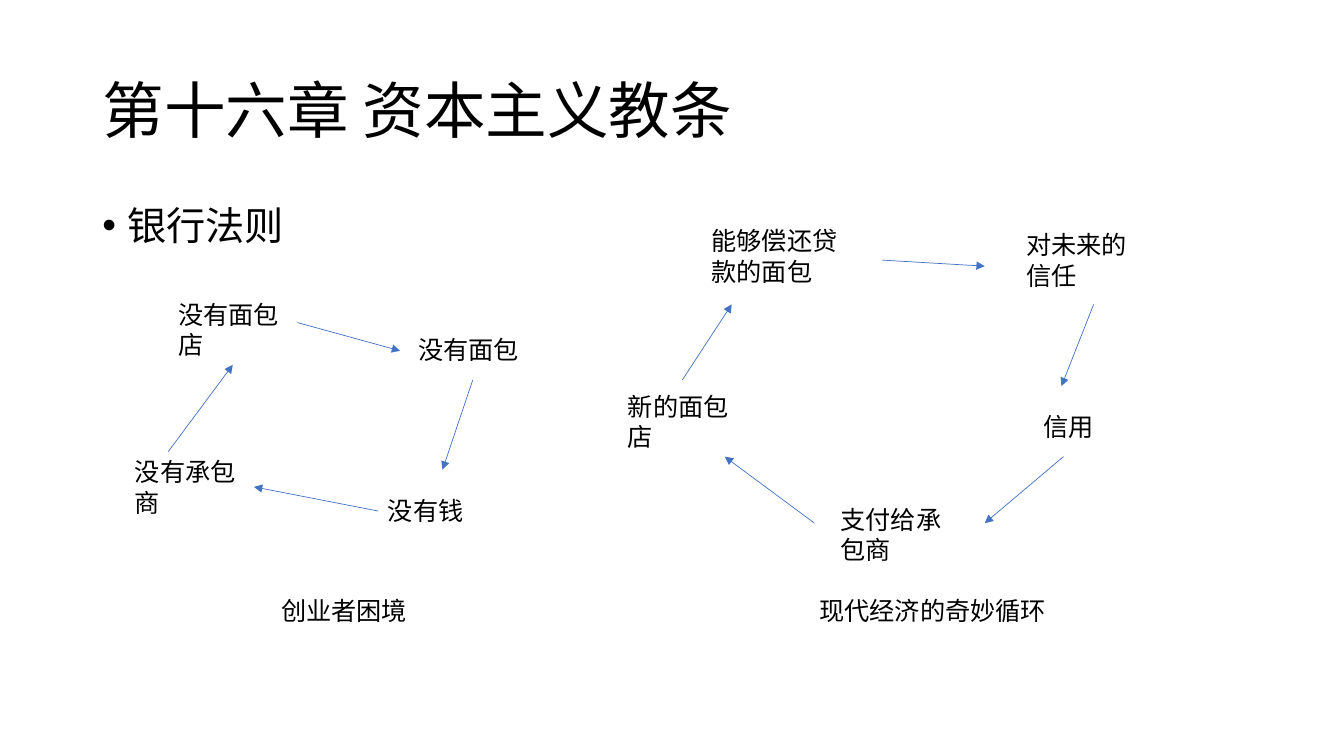
"""Build a slide with two economic cycles drawn as labels joined by arrows."""
from lxml.etree import SubElement
from pptx import Presentation
from pptx.dml.color import RGBColor
from pptx.enum.shapes import MSO_CONNECTOR
from pptx.enum.text import MSO_ANCHOR, MSO_AUTO_SIZE, PP_ALIGN
from pptx.oxml.ns import qn
from pptx.util import Pt

FONT, BLACK, BLUE = "Noto Sans CJK SC", "000000", "4472C4"
TITLE = "第十六章 资本主义教条"
BULLET = "银行法则"
LABEL_SIZE, LABEL_WIDTH = 18, 92
LINE_HEIGHT, INSET_X, INSET_Y = 21.8, 7.2, 3.6
CYCLES = [
    {
        "caption": ("创业者困境", 193.7, 422, 111.6),
        "labels": [
            ("没有面包店", 120.2, 210.2, LABEL_WIDTH),
            ("没有面包", 291.6, 235.4, LABEL_WIDTH),
            ("没有钱", 270, 350.6, LABEL_WIDTH),
            ("没有承包商", 89.3, 322.6, LABEL_WIDTH),
        ],
        "arrows": [
            (212.4, 230.4, 285.8, 250.6),
            (337.7, 271.4, 316.1, 335.5),
            (270, 365, 181.4, 347.8),
            (120.2, 322.6, 166.3, 260.6),
        ],
    },
    {
        "caption": ("现代经济的奇妙循环", 578.2, 422, 177.1),
        "labels": [
            ("能够偿还贷款的面包", 501.1, 157.7, 106.6),
            ("对未来的信任", 725.8, 160.6, LABEL_WIDTH),
            ("信用", 738, 290.2, LABEL_WIDTH),
            ("支付给承包商", 593.3, 356.4, LABEL_WIDTH),
            ("新的面包店", 441.4, 275.8, LABEL_WIDTH),
        ],
        "arrows": [
            (630, 185.8, 703.4, 190.1),
            (781.2, 217.4, 758.2, 275.8),
            (759.6, 326.2, 703.4, 373.7),
            (581.8, 373.7, 517.7, 326.2),
            (487.4, 271.4, 522.7, 217.4),
        ],
    },
]


def rgb(value):
    return RGBColor.from_string(value)


def write(sp, text, size=LABEL_SIZE, anchor=MSO_ANCHOR.TOP, spacing=1.0,
          before=0, bullet=False, fit=MSO_AUTO_SIZE.NONE):
    tf = sp.text_frame
    tf.word_wrap = True
    tf.auto_size = fit
    tf.vertical_anchor = anchor
    tf.margin_left = tf.margin_right = Pt(INSET_X)
    tf.margin_top = tf.margin_bottom = Pt(INSET_Y)
    p = tf.paragraphs[0]
    p.alignment = PP_ALIGN.LEFT
    p.line_spacing = spacing
    p.space_before = Pt(before)
    if bullet:
        pPr = p._p.get_or_add_pPr()
        pPr.set("marL", str(Pt(18)))
        pPr.set("indent", str(-Pt(18)))
        SubElement(pPr, qn("a:buFont")).set("typeface", "Arial")
        SubElement(pPr, qn("a:buChar")).set("char", "•")
    r = p.add_run()
    r.text = text
    r.font.size = Pt(size)
    r.font.name = FONT
    r.font.color.rgb = rgb(BLACK)
    SubElement(r._r.get_or_add_rPr(), qn("a:ea")).set("typeface", FONT)


def add_label(s, text, x, y, w):
    per_line = int((w - 2 * INSET_X) // LABEL_SIZE)
    lines = -(-len(text) // per_line)
    h = lines * LINE_HEIGHT + 2 * INSET_Y
    sp = s.shapes.add_textbox(Pt(x), Pt(y), Pt(w), Pt(h))
    write(sp, text, fit=MSO_AUTO_SIZE.SHAPE_TO_FIT_TEXT)


def add_arrow(s, *ends):
    line = s.shapes.add_connector(MSO_CONNECTOR.STRAIGHT, *map(Pt, ends))
    line.line.color.rgb = rgb(BLUE)
    line.line.width = Pt(0.5)
    SubElement(line.line._get_or_add_ln(), qn("a:tailEnd")).set("type", "triangle")
    SubElement(line._element.spPr, qn("a:effectLst"))


def main():
    prs = Presentation()
    prs.slide_width, prs.slide_height = Pt(960), Pt(540)
    s = prs.slides.add_slide(prs.slide_layouts[5])
    title = s.shapes.title
    title.left, title.top, title.width, title.height = map(Pt, (66, 28.8, 828, 104.4))
    write(title, TITLE, size=44, anchor=MSO_ANCHOR.MIDDLE, spacing=0.9)
    body = s.shapes.add_textbox(*map(Pt, (66, 143.8, 828, 342.6)))
    write(body, BULLET, size=28, spacing=0.9, before=10, bullet=True)
    for cycle in CYCLES:
        for label in cycle["labels"] + [cycle["caption"]]:
            add_label(s, *label)
        for arrow in cycle["arrows"]:
            add_arrow(s, *arrow)
    prs.save("out.pptx")


if __name__ == "__main__":
    main()
